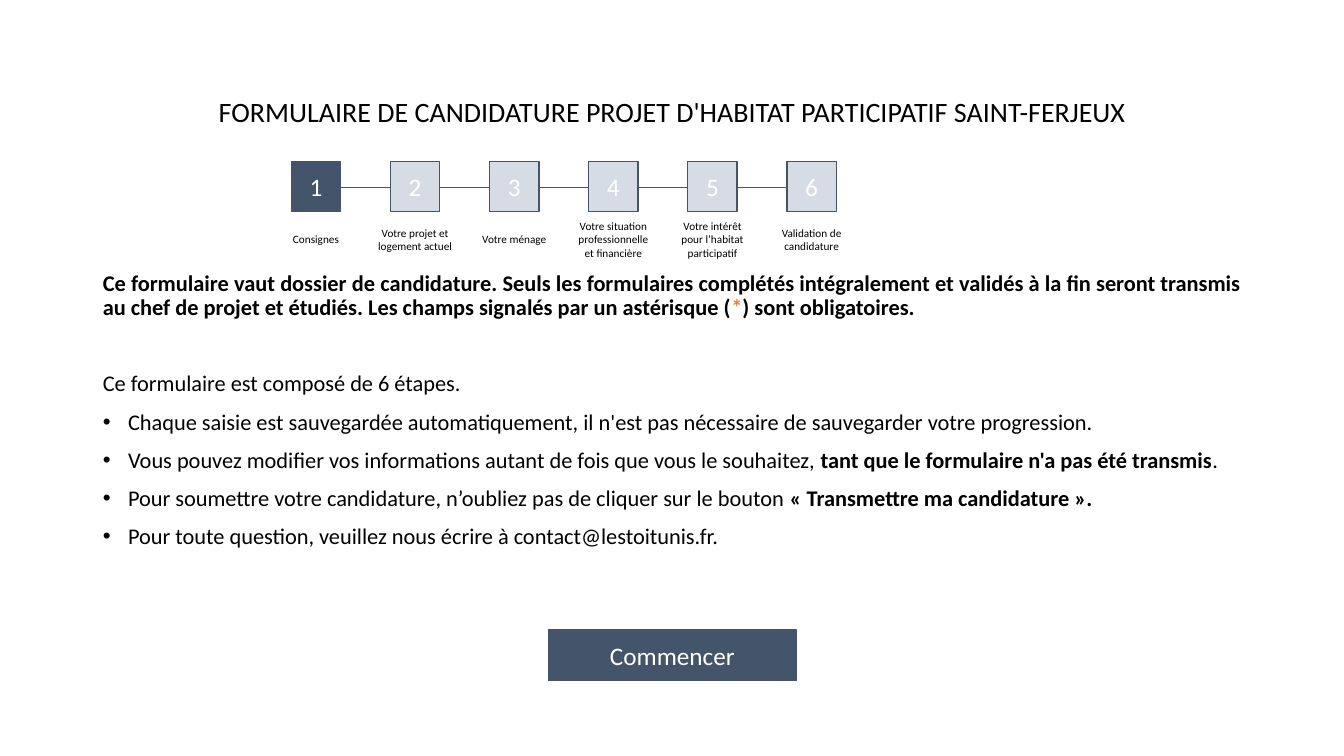
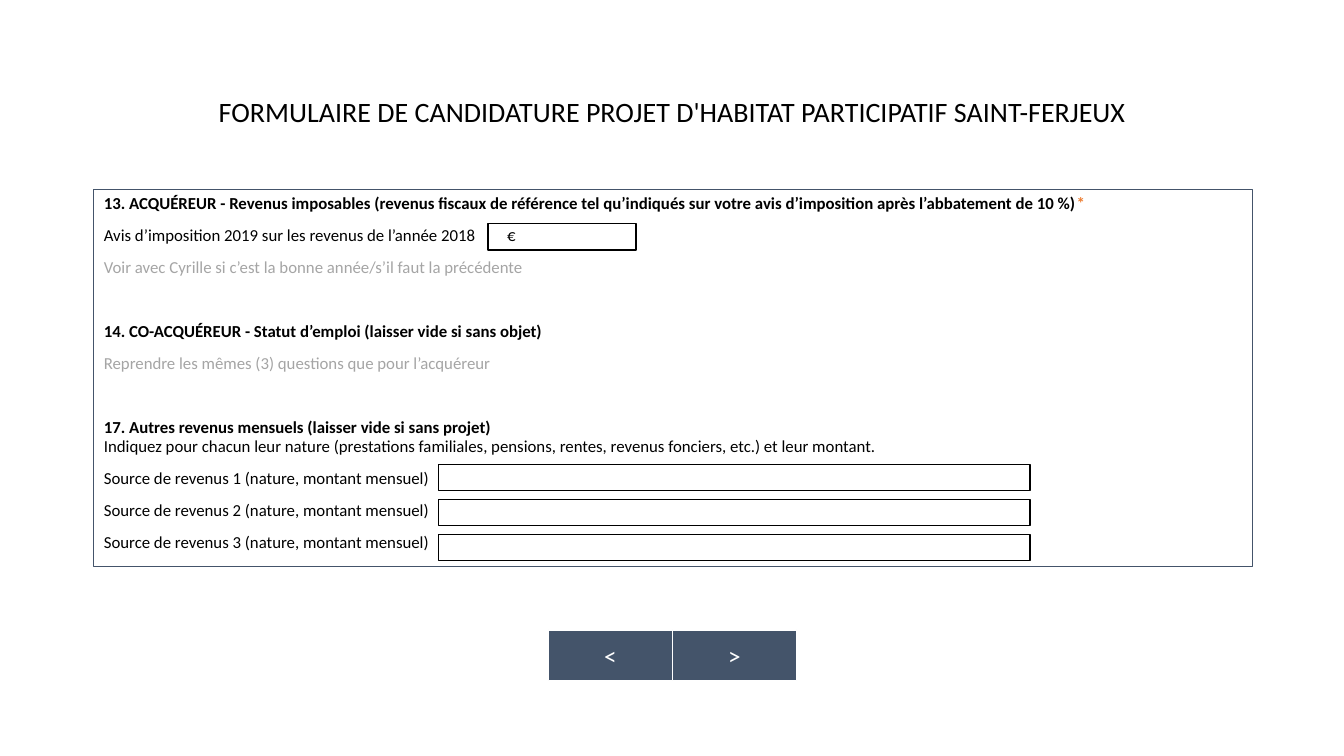
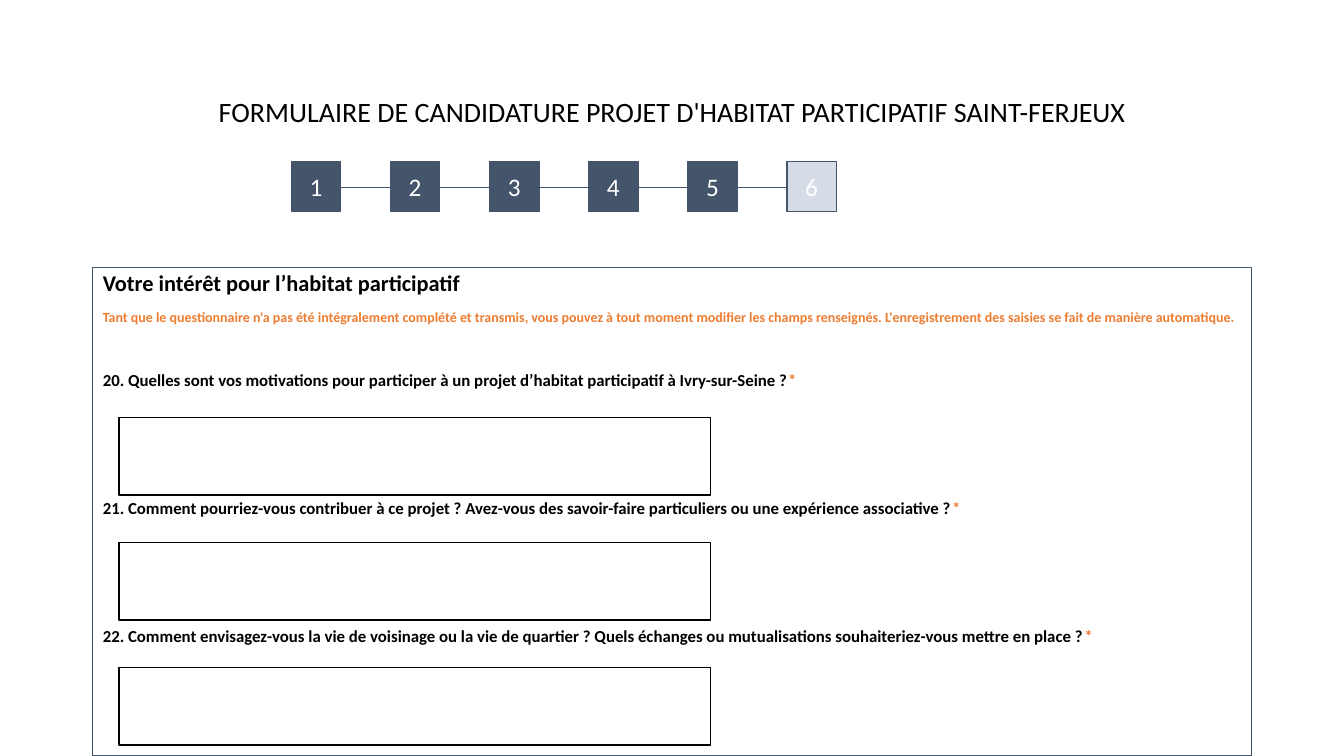
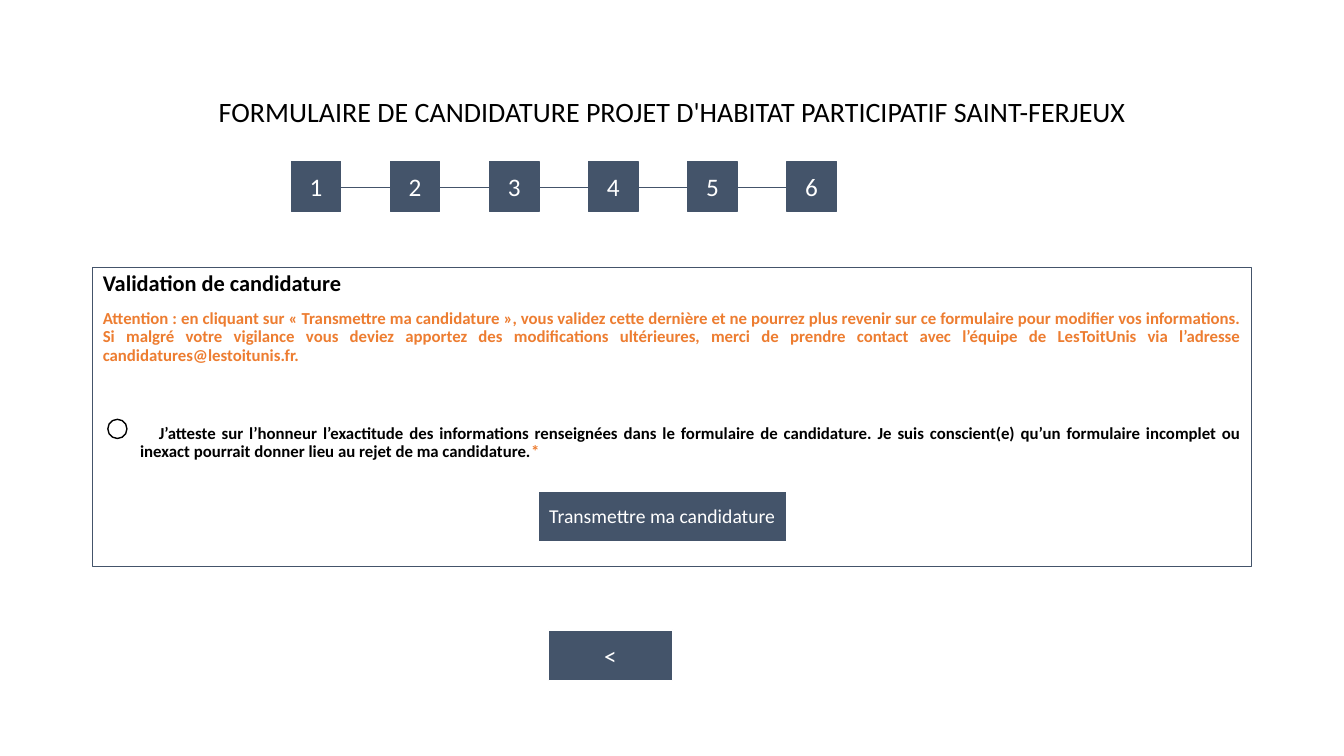
from dataclasses import dataclass

from lxml.etree import SubElement
from pptx import Presentation
from pptx.dml.color import RGBColor
from pptx.enum.shapes import MSO_CONNECTOR, MSO_SHAPE
from pptx.enum.text import MSO_ANCHOR, MSO_AUTO_SIZE, PP_ALIGN
from pptx.oxml.ns import qn
from pptx.util import Inches, Pt


@dataclass(frozen=True)
class Theme:
    """Colours, type sizes, spacing and grid of the form."""
    font: str = "Calibri"
    navy: str = "44546A"
    pale: str = "D6DCE5"
    orange: str = "ED7D31"
    grey: str = "A5A5A5"
    black: str = "000000"
    white: str = "FFFFFF"
    title: int = 20
    action: int = 18
    heading: int = 16
    submit: int = 14
    text: int = 12
    notice: int = 10
    caption: int = 8
    line_spacing: float = 0.9
    gap: float = 10
    skip_text: float = 22.9
    skip_heading: float = 27.2
    columns: int = 40
    rows: int = 30


@dataclass(frozen=True)
class Span:
    """A run of text with its colour and weight."""
    text: str
    color: str = Theme.black
    bold: bool = False


@dataclass(frozen=True)
class Para:
    """A paragraph of spans; margin, indent and tab are in columns."""
    spans: tuple
    size: int = Theme.text
    before: float = Theme.gap
    align: PP_ALIGN = PP_ALIGN.JUSTIFY
    bullet: bool = False
    margin: float = 0
    indent: float = 0
    tab: float = 0


class Form:
    """Builds the pages of the form on a grid of columns and rows."""

    title = "FORMULAIRE DE CANDIDATURE PROJET D'HABITAT PARTICIPATIF SAINT-FERJEUX"
    step_left, step_pitch, step_width = 8.67, 2.95, 1.47
    step_count = 6
    panel_left, panel_top, panel_width = 2.76, 10.6, 34.5
    button_left, button_top, button_width, button_height = 16.32, 25, 7.38, 2

    def __init__(self, theme):
        """Open an empty deck of the right size."""
        self.theme = theme
        self.deck = Presentation()
        self.deck.slide_width, self.deck.slide_height = Inches(13.33), Inches(7.5)
        self.page = None

    def across(self, columns):
        """Convert columns to a length."""
        return int(self.deck.slide_width * columns / self.theme.columns)

    def down(self, rows):
        """Convert rows to a length."""
        return int(self.deck.slide_height * rows / self.theme.rows)

    def area(self, left, top, width, height):
        """Convert a grid area to lengths."""
        return self.across(left), self.down(top), self.across(width), self.down(height)

    def place(self, box, *cells):
        """Move a placeholder to a grid area."""
        box.left, box.top, box.width, box.height = self.area(*cells)

    def new_page(self):
        """Start a page with the shared title."""
        self.page = self.deck.slides.add_slide(self.deck.slide_layouts[1])
        box = self.page.shapes.title
        self.place(box, self.panel_left, 1.6, self.panel_width, 5.8)
        self.label(box, self.title, self.theme.title, self.theme.black)
        box.text_frame.paragraphs[0].line_spacing = self.theme.line_spacing

    def span(self, para, span, size):
        """Add one formatted run."""
        run = para.add_run()
        run.text = span.text
        run.font.name, run.font.size, run.font.bold = self.theme.font, Pt(size), span.bold
        run.font.color.rgb = RGBColor.from_string(span.color)

    def label(self, box, text, size, color):
        """Write one centred label in a box."""
        frame = box.text_frame
        frame.word_wrap = True
        frame.auto_size = MSO_AUTO_SIZE.NONE
        frame.vertical_anchor = MSO_ANCHOR.MIDDLE
        para = frame.paragraphs[0]
        para.alignment = PP_ALIGN.CENTER
        self.span(para, Span(text, color), size)

    def shape(self, cells, fill=None, line=Theme.black, kind=MSO_SHAPE.RECTANGLE):
        """Add an outlined shape, filled on demand."""
        box = self.page.shapes.add_shape(kind, *self.area(*cells))
        box.shadow.inherit = False
        if fill:
            box.fill.solid()
            box.fill.fore_color.rgb = RGBColor.from_string(fill)
        else:
            box.fill.background()
        box.line.color.rgb = RGBColor.from_string(line)
        box.line.width = Pt(1)
        return box

    def button(self, text, left=button_left, top=button_top, width=button_width,
               size=Theme.action, line=Theme.white):
        """Add a navy button."""
        box = self.shape((left, top, width, self.button_height), self.theme.navy, line)
        self.label(box, text, size, self.theme.white)

    def arrows(self, *marks):
        """Add half-width navigation buttons side by side."""
        width = self.button_width / 2
        for index, mark in enumerate(marks):
            self.button(mark, self.button_left + index * width, width=width)

    def steps(self, reached):
        """Draw the progress bar up to the reached step."""
        end = self.step_left + (self.step_count - 1) * self.step_pitch + self.step_width
        track = self.page.shapes.add_connector(
            MSO_CONNECTOR.STRAIGHT, self.across(self.step_left), self.down(7.44),
            self.across(end), self.down(7.44))
        track.line.color.rgb = RGBColor.from_string(self.theme.navy)
        track.line.width = Pt(0.5)
        SubElement(track.element.spPr, qn("a:effectLst"))
        for index in range(self.step_count):
            fill = self.theme.navy if index < reached else self.theme.pale
            left = self.step_left + index * self.step_pitch
            box = self.shape((left, 6.4, self.step_width, 2), fill, self.theme.navy)
            self.label(box, str(index + 1), self.theme.action, self.theme.white)

    def captions(self, *names):
        """Name the steps below the progress bar."""
        width = 2.82
        first = self.step_left + (self.step_width - width) / 2
        for index, name in enumerate(names):
            cells = self.area(first + index * self.step_pitch, 8.5, width, 2)
            box = self.page.shapes.add_textbox(*cells)
            self.label(box, name, self.theme.caption, self.theme.black)

    def body(self, paras, height, left=panel_left, top=panel_top, framed=True):
        """Fill the body placeholder with paragraphs."""
        box = self.page.placeholders[1]
        self.place(box, left, top, self.panel_width, height)
        if framed:
            box.line.color.rgb = RGBColor.from_string(self.theme.navy)
            box.line.width = Pt(0.75)
        frame = box.text_frame
        frame.auto_size = MSO_AUTO_SIZE.NONE
        frame.vertical_anchor = MSO_ANCHOR.TOP
        for index, content in enumerate(paras):
            para = frame.add_paragraph() if index else frame.paragraphs[0]
            self.para(para, content)

    def para(self, para, content):
        """Format one paragraph and add its runs."""
        para.alignment = content.align
        para.line_spacing = self.theme.line_spacing
        para.space_before = Pt(content.before)
        properties = para._p.get_or_add_pPr()
        properties.set("marL", str(self.across(content.margin)))
        properties.set("indent", str(self.across(content.indent)))
        if content.bullet:
            SubElement(properties, qn("a:buFont"), typeface="Arial")
            SubElement(properties, qn("a:buChar"), char="•")
        else:
            SubElement(properties, qn("a:buNone"))
        if content.tab:
            tabs = SubElement(properties, qn("a:tabLst"))
            SubElement(tabs, qn("a:tab"), pos=str(self.across(content.tab)), algn="l")
        for span in content.spans:
            if span is None:
                para.add_line_break()
            else:
                self.span(para, span, content.size)


def strong(text, color=Theme.black):
    """Make a bold span."""
    return Span(text, color, True)


def bullet(*spans):
    """Make a bulleted instruction."""
    return Para(spans, Theme.heading, bullet=True, margin=0.75, indent=-0.75)


def heading(text):
    """Make a panel heading."""
    return Para((strong(text),), Theme.heading)


theme = Theme()
form = Form(theme)
star = strong("*", theme.orange)
after_blank = theme.gap + theme.skip_text

form.new_page()
form.body((
    Para((strong("Ce formulaire vaut dossier de candidature. Seuls les formulaires complétés "
                 "intégralement et validés à la fin seront\u00a0transmis au chef de projet et "
                 "étudiés. Les champs signalés par un astérisque ("),
          star, strong(") sont obligatoires.")), theme.heading),
    Para((Span("Ce formulaire est composé\u00a0de 6 étapes."),), theme.heading,
         theme.gap + theme.skip_heading),
    bullet(Span("Chaque\u00a0saisie est sauvegardée automatiquement, il n'est pas nécessaire "
                "de sauvegarder votre progression.")),
    bullet(Span("Vous pouvez\u00a0modifier vos\u00a0informations autant de fois que vous le "
                "souhaitez,\u00a0"),
           strong("tant que le formulaire n'a pas été transmis"), Span(".")),
    bullet(Span("Pour soumettre votre candidature, n’oubliez pas de cliquer sur le bouton\u00a0"),
           strong("« Transmettre ma candidature ».")),
    bullet(Span("Pour toute question, veuillez nous écrire à contact@lestoitunis.fr.")),
), 16.44, framed=False)
form.steps(1)
form.captions("Consignes", "Votre projet et logement actuel", "Votre ménage",
              "Votre situation professionnelle et financière",
              "Votre intérêt pour l’habitat participatif", "Validation de candidature")
form.button("Commencer", line=theme.navy)

form.new_page()
form.body((
    Para((strong("13. ACQUÉREUR - Revenus imposables (revenus fiscaux de référence tel "
                 "qu’indiqués sur votre avis d’imposition après l’abbatement de 10 %)"), star)),
    Para((Span("Avis d’imposition 2019 sur les revenus de l’année 2018\t€"),), tab=15.87),
    Para((Span("Voir avec Cyrille si c’est la bonne année/s’il faut la précédente",
               theme.grey),)),
    Para((strong("14. CO-ACQUÉREUR - Statut d’emploi (laisser vide si sans objet)"),),
         before=after_blank),
    Para((Span("Reprendre les mêmes (3) questions que pour l’acquéreur", theme.grey),)),
    Para((strong("17. Autres revenus mensuels (laisser vide si sans projet)"), None,
          Span("Indiquez pour chacun leur nature (prestations familiales, pensions, rentes, "
               "revenus fonciers, etc.) et leur montant.")),
         before=after_blank, align=PP_ALIGN.LEFT),
    *(Para((Span(f"Source de revenus {number} (nature, montant mensuel)"),),
           align=PP_ALIGN.LEFT) for number in range(1, 4)),
), 14.96, left=2.79, top=7.52)
form.arrows("<", ">")
form.shape((14.52, 8.88, 4.41, 1.04))
for source in range(3):
    form.shape((13.05, 18.44 + 1.38 * source, 17.61, 1.04))

form.new_page()
form.steps(5)
questions = (
    "20. Quelles sont vos motivations pour participer à un projet d’habitat participatif "
    "à Ivry-sur-Seine ?",
    "21. Comment pourriez-vous contribuer à ce projet ? Avez-vous des savoir-faire "
    "particuliers ou une expérience associative ?",
    "22. Comment envisagez-vous la vie de voisinage ou la vie de quartier ? Quels échanges "
    "ou mutualisations souhaiteriez-vous mettre en place ?",
)
form.body((
    heading("Votre intérêt pour l’habitat participatif"),
    Para((strong("Tant que le questionnaire n'a pas été\u00a0intégralement\u00a0complété et "
                 "transmis, vous pouvez à tout moment modifier les champs renseignés. "
                 "L'enregistrement\u00a0des saisies se fait de manière automatique.",
                 theme.orange),), theme.notice, align=PP_ALIGN.LEFT),
    *(Para((strong(question), star),
           before=theme.gap + theme.skip_text * (3 if index else 1))
      for index, question in enumerate(questions)),
), 19.4)
for answer in range(len(questions)):
    form.shape((3.54, 16.56 + 4.96 * answer, 17.61, 3.08))

form.new_page()
form.steps(6)
form.body((
    heading("Validation de candidature"),
    Para((strong("Attention : en cliquant sur « Transmettre ma candidature », vous validez "
                 "cette dernière et ne pourrez plus revenir sur ce formulaire pour modifier vos "
                 "informations. Si malgré votre vigilance vous deviez apportez des modifications "
                 "ultérieures, merci de prendre contact avec l’équipe de LesToitUnis via "
                 "l’adresse candidatures@lestoitunis.fr.", theme.orange),)),
    Para((strong("J’atteste sur l’honneur l’exactitude des informations renseignées dans le "
                 "formulaire de candidature. Je suis conscient(e) qu’un formulaire incomplet ou "
                 "inexact pourrait donner lieu au rejet de ma candidature."), star),
         before=after_blank + theme.gap, margin=1.11, indent=0.56),
), 11.88)
form.button("Transmettre ma candidature", left=16.02, top=19.48, size=theme.submit)
form.shape((3.21, 16.64, 0.57, 0.76), kind=MSO_SHAPE.OVAL)
form.arrows("<")

form.deck.save("out.pptx")
